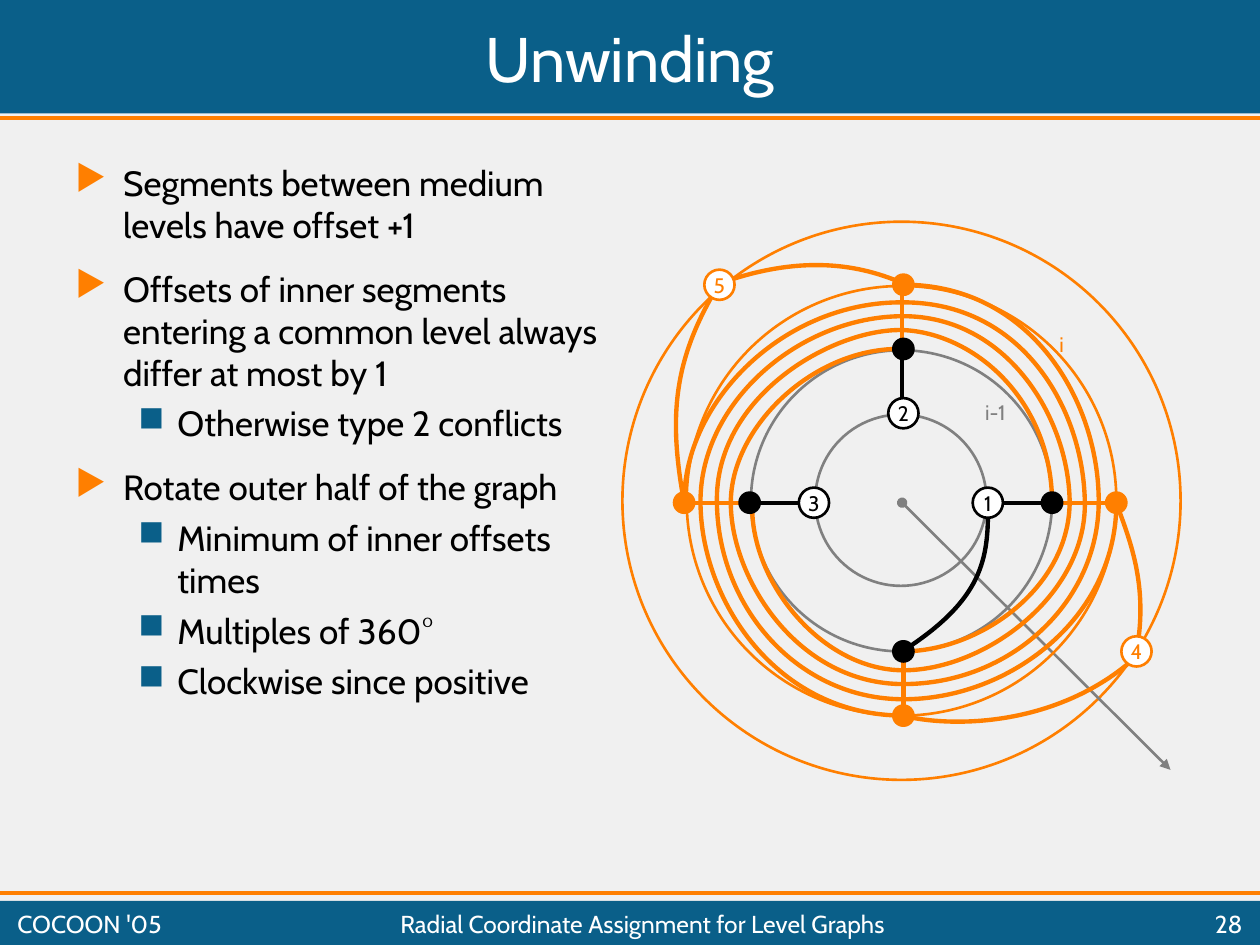
from lxml.etree import SubElement
from pptx import Presentation
from pptx.dml.color import RGBColor
from pptx.enum.shapes import MSO_CONNECTOR, MSO_SHAPE
from pptx.enum.text import MSO_ANCHOR, PP_ALIGN
from pptx.oxml.ns import qn
from pptx.util import Pt

PX = 9144  # EMU per px, 100 px to the inch
FONT = "Cabin"
BLUE = RGBColor(0x0A, 0x5F, 0x89)
ORANGE = RGBColor(0xFF, 0x7F, 0x00)
GRAY = RGBColor(0x80, 0x80, 0x80)
BLACK = RGBColor(0, 0, 0)
WHITE = RGBColor(0xFF, 0xFF, 0xFF)
PAPER = RGBColor(0xF0, 0xF0, 0xF0)

deck = Presentation()
deck.slide_width, deck.slide_height = 1000 * PX, 750 * PX
page = deck.slides.add_slide(deck.slide_layouts[6])
page.background.fill.solid()
page.background.fill.fore_color.rgb = PAPER
shapes = page.shapes


def add_line(x1, y1, x2, y2, color, width):
    line = shapes.add_connector(MSO_CONNECTOR.STRAIGHT, x1 * PX, y1 * PX, x2 * PX, y2 * PX)
    line.line.color.rgb = color
    line.line.width = Pt(width)
    SubElement(line._element.spPr, qn("a:effectLst"))
    return line


def add_circle(left, top, size, color, fill=None):
    circle = shapes.add_shape(MSO_SHAPE.OVAL, left * PX, top * PX, size * PX, size * PX)
    circle.shadow.inherit = False
    circle.line.color.rgb = color
    circle.line.width = Pt(1.5)
    if fill is None:
        circle.fill.background()
    else:
        circle.fill.solid()
        circle.fill.fore_color.rgb = fill
    return circle


# Header and footer bars with their rules
for top, height, rule in [(0, 90, 94), (715, 35, 709)]:
    bar = shapes.add_shape(MSO_SHAPE.RECTANGLE, 0, top * PX, 1000 * PX, height * PX)
    bar.shadow.inherit = False
    bar.fill.solid()
    bar.fill.fore_color.rgb = BLUE
    bar.line.fill.background()
    add_line(0, rule, 1000, rule, ORANGE, 2.25)

# Level circles and the ray
add_circle(596, 278, 239, GRAY)
add_circle(494, 176, 443, ORANGE)
ray = add_line(716, 399, 929, 611, GRAY, 1.5)
ray_line = ray.line._get_or_add_ln()
SubElement(ray_line, qn("a:headEnd"), type="oval")
SubElement(ray_line, qn("a:tailEnd"), type="triangle")
add_circle(647, 329, 136, GRAY)
add_circle(545, 227, 341, ORANGE)

# Bulleted text
bullets = [
    (0, "Segments between medium levels have offset +1"),
    (0, "Offsets of inner segments entering a common level always differ at most by 1"),
    (1, "Otherwise type 2 conflicts"),
    (0, "Rotate outer half of the graph"),
    (1, "Minimum of inner offsets times"),
    (1, "Multiples of 360°"),
    (1, "Clockwise since positive"),
]
# Per level: left margin, hanging indent, space before, bullet, bullet colour
levels = [(38, 38, 12.5, "▶", ORANGE), (81, 31, 5, "■", BLUE)]
body = shapes.add_textbox(50 * PX, 123 * PX, 434 * PX, 567 * PX).text_frame
body.word_wrap = True
for index, (level, text) in enumerate(bullets):
    margin, hanging, space, mark, mark_color = levels[level]
    para = body.add_paragraph() if index else body.paragraphs[0]
    para.text = text
    para.level = level
    props = para._p.get_or_add_pPr()
    props.set("marL", str(margin * PX))
    props.set("indent", str(-hanging * PX))
    bullet_color = SubElement(props, qn("a:buClr"))
    SubElement(bullet_color, qn("a:srgbClr"), val=str(mark_color))
    SubElement(props, qn("a:buChar"), char=mark)
    para.space_before = Pt(space if index else 0)
    para.font.name = FONT
    para.font.size = Pt(20)
    para.font.color.rgb = BLACK

# Curved edges: a start point, then Bezier triples
curves = [
    (ORANGE, [(717, 568), (617, 568), (556, 477), (556, 398), (556, 319), (635, 251), (717, 251),
              (798, 251), (848, 330), (849, 398), (849, 467), (777, 517), (717, 517)]),
    (ORANGE, [(886, 401), (885, 491), (801, 555), (717, 555), (634, 555), (570, 483), (569, 399),
              (567, 315), (660, 261), (716, 262), (772, 264), (834, 316), (835, 398)]),
    (ORANGE, [(717, 226), (818, 226), (872, 318), (872, 398), (872, 478), (802, 543), (717, 543),
              (633, 543), (580, 459), (580, 399), (580, 339), (646, 275), (717, 277)]),
    (ORANGE, [(543, 398), (543, 319), (622, 239), (717, 240), (811, 240), (860, 324), (861, 399),
              (862, 473), (781, 532), (717, 532), (653, 532), (596, 463), (597, 401)]),
    (BLACK, [(784, 399), (785, 444), (780, 476), (716, 517)]),
    (ORANGE, [(902, 517), (912, 464), (896, 427), (886, 399)]),
    (ORANGE, [(902, 521), (844, 574), (762, 579), (716, 568)]),
    (ORANGE, [(717, 225), (676, 207), (630, 204), (571, 225)]),
    (ORANGE, [(543, 399), (530, 329), (535, 284), (571, 225)]),
]
for color, points in curves:
    builder = shapes.build_freeform(*points[0], scale=PX)
    builder.add_line_segments(points[1:], close=False)
    curve = builder.convert_to_shape()
    curve.shadow.inherit = False
    curve.fill.background()
    curve.line.color.rgb = color
    curve.line.width = Pt(2.5)
    # Merge each three line segments into one cubic segment
    segments = list(curve._element.iter(qn("a:lnTo")))
    for first in range(0, len(segments), 3):
        segments[first].tag = qn("a:cubicBezTo")
        for extra in segments[first + 1:first + 3]:
            segments[first].append(extra[0])
            extra.getparent().remove(extra)

# Straight edges
for x1, y1, x2, y2, color in [
    (594, 399, 543, 399, ORANGE), (886, 399, 835, 399, ORANGE),
    (716, 225, 716, 277, ORANGE), (717, 517, 717, 569, ORANGE),
    (835, 399, 783, 399, BLACK), (646, 399, 594, 399, BLACK), (716, 277, 716, 328, BLACK),
]:
    add_line(x1, y1, x2, y2, color, 2.5)

# Numbered nodes
for left, top, number, color in [
    (634, 387, "3", BLACK), (705, 316, "2", BLACK), (772, 387, "1", BLACK),
    (890, 505, "4", ORANGE), (559, 214, "5", ORANGE),
]:
    frame = add_circle(left, top, 24, color, WHITE).text_frame
    frame.word_wrap = False
    frame.vertical_anchor = MSO_ANCHOR.MIDDLE
    para = frame.paragraphs[0]
    para.text = number
    para.alignment = PP_ALIGN.CENTER
    para.font.name = FONT
    para.font.size = Pt(12)
    para.font.color.rgb = color

# Solid nodes on levels i-1 and i
for left, top, color in [
    (709, 509, BLACK), (709, 269, BLACK), (827, 391, BLACK), (587, 391, BLACK),
    (878, 391, ORANGE), (709, 218, ORANGE), (535, 391, ORANGE), (709, 560, ORANGE),
]:
    add_circle(left, top, 16, color, color)

# Title, level labels and footer
for left, top, width, height, text, size, color, align, anchor, wrap in [
    (4, 4, 992, 83, "Unwinding", 36, WHITE, PP_ALIGN.CENTER, MSO_ANCHOR.MIDDLE, True),
    (772, 312, 39, 30, "i-1", 12, GRAY, PP_ALIGN.LEFT, MSO_ANCHOR.TOP, False),
    (831, 258, 24, 30, "i", 12, ORANGE, PP_ALIGN.LEFT, MSO_ANCHOR.TOP, False),
    (150, 719, 720, 28, "Radial Coordinate Assignment for Level Graphs", 14, WHITE,
     PP_ALIGN.CENTER, MSO_ANCHOR.MIDDLE, True),
    (878, 719, 118, 28, "28", 14, WHITE, PP_ALIGN.RIGHT, MSO_ANCHOR.MIDDLE, True),
    (4, 719, 144, 28, "COCOON '05", 14, WHITE, PP_ALIGN.LEFT, MSO_ANCHOR.MIDDLE, True),
]:
    frame = shapes.add_textbox(left * PX, top * PX, width * PX, height * PX).text_frame
    frame.word_wrap = wrap
    frame.vertical_anchor = anchor
    para = frame.paragraphs[0]
    para.text = text
    para.alignment = align
    para.font.name = FONT
    para.font.size = Pt(size)
    para.font.color.rgb = color

deck.save("out.pptx")
